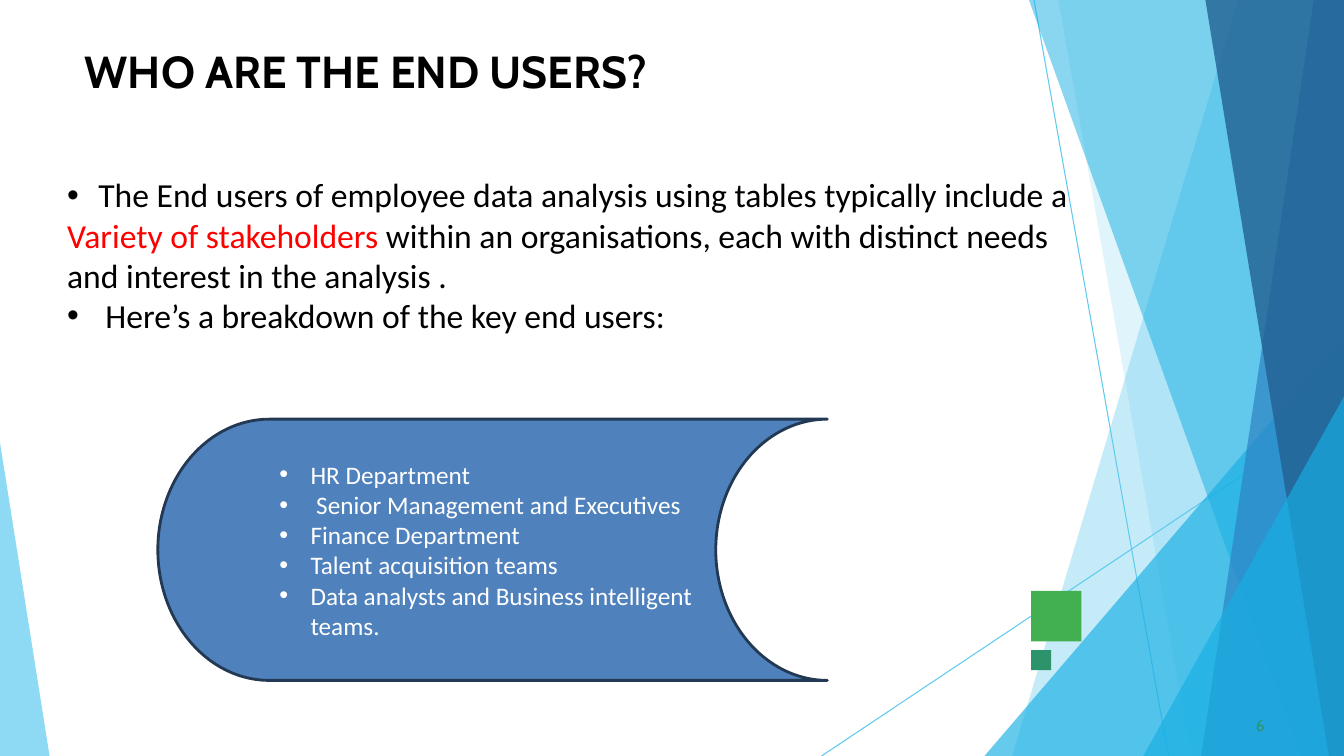
from lxml import etree
from pptx import Presentation
from pptx.dml.color import RGBColor
from pptx.enum.shapes import MSO_CONNECTOR, MSO_SHAPE as SHAPE
from pptx.enum.text import MSO_ANCHOR as ANCHOR, PP_ALIGN as ALIGN
from pptx.oxml.ns import qn
from pptx.util import Inches, Pt

COLS, ROWS = 160, 90
CELL = Inches(7.5) / ROWS

FACETS = [
    (0, 12.6, 39.5, "5FCAEE", 36),
    (0, 34, 18.2, "5FCAEE", 20),
    (40, 0, 42.8, "17AFE3", 66),
    (0, 37.5, 5.1, "17AFE3", 50),
    (0, 3.6, 17, "2D83C3", 70),
    (0, 16.5, 1.8, "226192", 80),
    (47.2, 0, 23.9, "17AFE3", 66),
]
INTRO = [
    ([("The End users of employee data analysis using tables typically include a", "000000")], 0.31),
    ([("Variety of stakeholders", "FF0000"),
      (" within an organisations, each with distinct needs", "000000")], 0),
    ([("and interest in the analysis .", "000000")], 0),
    ([("Here’s a breakdown of the key end users:", "000000")], 0.38),
]
END_USERS = [
    "HR Department",
    " Senior Management and Executives",
    "Finance Department",
    "Talent acquisition teams",
    "Data analysts and Business intelligent teams.",
]


def rgb(code):
    return RGBColor.from_string(code)


def grid(*cells):
    return [round(c * CELL) for c in cells]


def paint(sp, color, alpha=100):
    sp.shadow.inherit = False
    sp.fill.solid()
    sp.fill.fore_color.rgb = rgb(color)
    sp.line.fill.background()
    if alpha < 100:
        clr = sp.fill._xPr.find(qn("a:solidFill"))[0]
        etree.SubElement(clr, qn("a:alpha")).set("val", str(alpha * 1000))


def style(r, font, size, color, bold=False):
    r.font.name, r.font.size, r.font.bold = font, Pt(size), bold
    r.font.color.rgb = rgb(color)


def bullet(p, indent):
    pPr = p._p.get_or_add_pPr()
    pPr.set("marL", str(Inches(indent)))
    pPr.set("indent", str(-Inches(indent)))
    etree.SubElement(pPr, qn("a:buFont")).set("typeface", "Arial")
    etree.SubElement(pPr, qn("a:buChar")).set("char", "•")


def text_frame(slide, box):
    tf = slide.shapes.add_textbox(*grid(*box)).text_frame
    tf.word_wrap = True
    tf.margin_left = tf.margin_top = tf.margin_right = tf.margin_bottom = 0
    return tf


def add_label(slide, box, text, size, color, before, bold=False):
    tf = text_frame(slide, box)
    tf.margin_top = Inches(0.02)
    p = tf.paragraphs[0]
    p.text = text
    p.space_before = Pt(before)
    style(p.runs[0], "Cabin", size, color, bold)


def add_facet(slide, edge, side, bottom, top, near, far, color, alpha):
    corners = [(edge, top), (edge + side * near, top),
               (edge + side * far, bottom), (edge, bottom)]
    points = [tuple(grid(*c)) for c in corners]
    fb = slide.shapes.build_freeform(*points[0])
    fb.add_line_segments(points[1:])
    paint(fb.convert_to_shape(), color, alpha)


def add_backdrop(slide, box):
    left, top, width, height = box
    right, bottom = left + width, top + height
    for line in [(right - 36.9, top, right - 20.9, bottom),
                 (right, top + 48.5, right - 62.2, bottom)]:
        cn = slide.shapes.add_connector(MSO_CONNECTOR.STRAIGHT, *grid(*line))
        cn.line.color.rgb = rgb("5FCAEE")
        cn.line.width = Pt(0.75)
        etree.SubElement(cn._element.spPr, qn("a:effectLst"))
    for rise, near, far, color, alpha in FACETS:
        add_facet(slide, right, -1, bottom, top + rise, near, far, color, alpha)
    add_facet(slide, left, 1, bottom, top + 52.7, 0, 5.9, "5FCAEE", 70)


def add_squares(slide, box):
    left, top, width, height = box
    small = width * 0.4
    for y, side, color in [(top, width, "42AF51"),
                           (top + height - small, small, "2D936B")]:
        paint(slide.shapes.add_shape(SHAPE.RECTANGLE, *grid(left, y, side, side)), color)


def add_intro(slide, box):
    tf = text_frame(slide, box)
    for i, (parts, indent) in enumerate(INTRO):
        p = tf.add_paragraph() if i else tf.paragraphs[0]
        if indent:
            bullet(p, indent)
        for text, color in parts:
            r = p.add_run()
            r.text = text
            style(r, "Calibri", 24, color)


def add_end_users(slide, box):
    sp = slide.shapes.add_shape(SHAPE.FLOWCHART_STORED_DATA, *grid(*box))
    paint(sp, "4F81BD")
    sp.line.color.rgb = rgb("233953")
    sp.line.width = Pt(2)
    tf = sp.text_frame
    tf.word_wrap = True
    tf.vertical_anchor = ANCHOR.MIDDLE
    for i, user in enumerate(END_USERS):
        p = tf.add_paragraph() if i else tf.paragraphs[0]
        p.text = user
        p.alignment = ALIGN.LEFT
        bullet(p, 0.31)
        style(p.runs[0], "Calibri", 18, "FFFFFF")


def main():
    prs = Presentation()
    prs.slide_width, prs.slide_height = grid(COLS, ROWS)
    slide = prs.slides.add_slide(prs.slide_layouts[6])
    add_backdrop(slide, (0, 0, COLS, ROWS))
    add_squares(slide, (122.75, 70.35, 6, 9.45))
    add_label(slide, (10.1, 5, 140, 10), "WHO ARE THE END USERS?", 32, "000000", 1.3, True)
    add_intro(slide, (8, 20.75, 144, 19.5))
    add_label(slide, (149.5, 85, 2.5, 2.5), "6", 11, "2D936B", 0.6)
    add_end_users(slide, (18.8, 49.9, 79.7, 31.1))
    prs.save("out.pptx")


if __name__ == "__main__":
    main()
